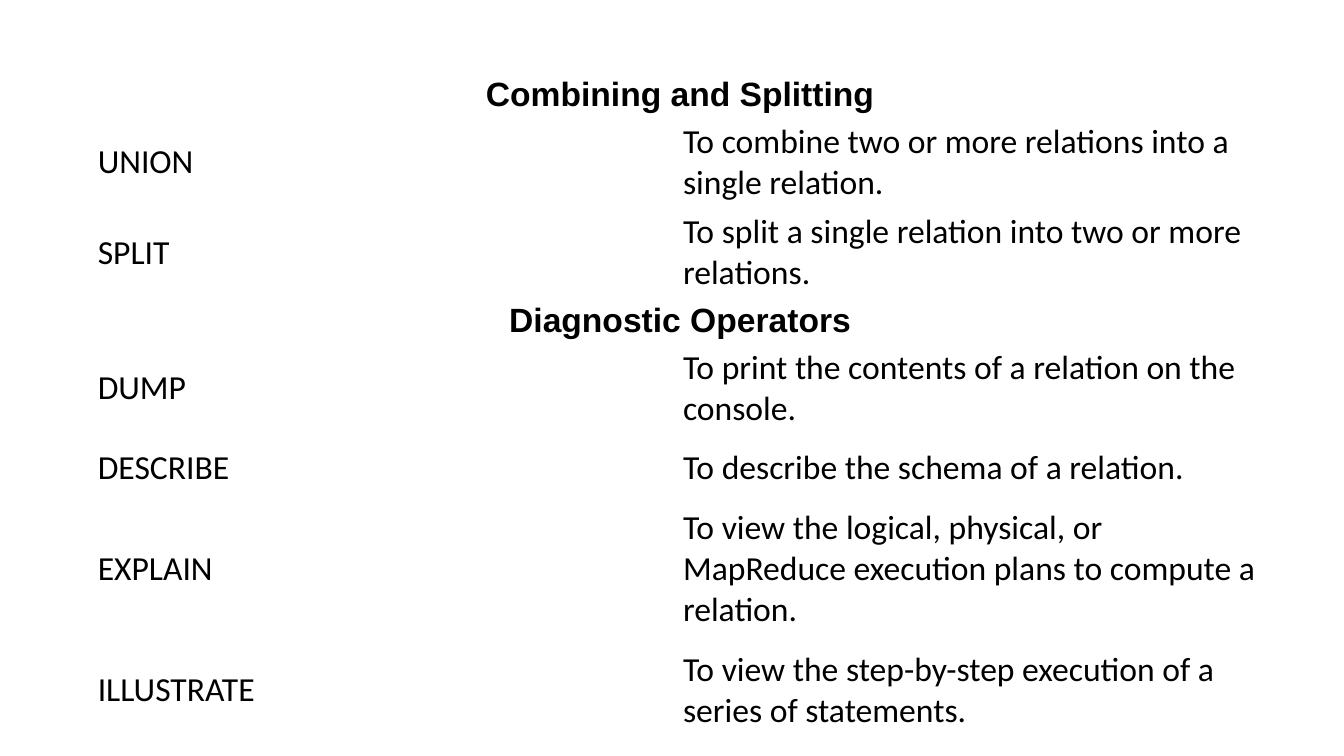
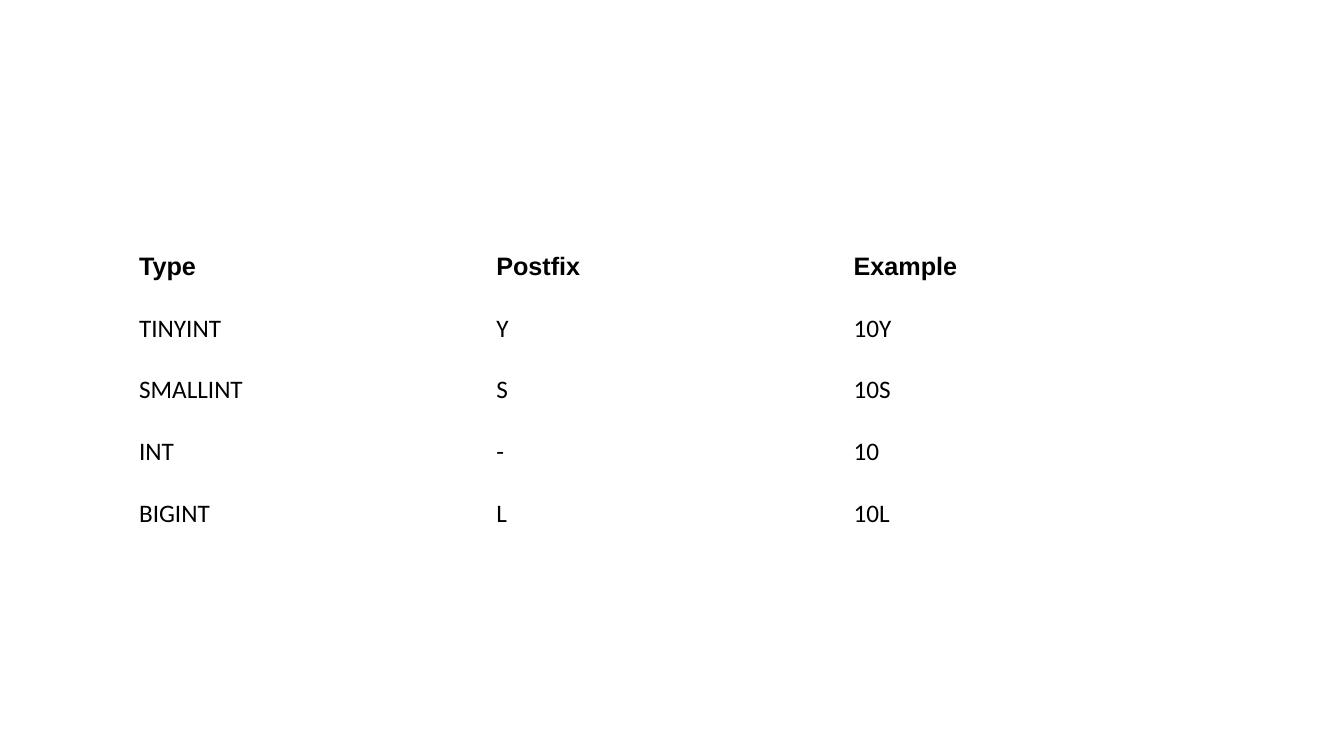
from dataclasses import dataclass

from pptx import Presentation
from pptx.dml.color import RGBColor
from pptx.enum.text import MSO_ANCHOR as Anchor, PP_ALIGN as Align
from pptx.util import Inches, Pt


@dataclass(frozen=True)
class Theme:
    ink: RGBColor = RGBColor(0x00, 0x00, 0x00)
    paper: RGBColor = RGBColor(0xFF, 0xFF, 0xFF)
    heading_font: str = "Arial"
    body_font: str = "Calibri"
    large: int = 24
    medium: int = 18


theme = Theme()

deck = Presentation()
deck.slide_width = Inches(13.33)
deck.slide_height = Inches(7.5)
blank_layout = deck.slide_layouts.get_by_name("Blank")


def across(percent):
    return round(deck.slide_width * percent / 100)


def down(percent):
    return round(deck.slide_height * percent / 100)


operators = dict(
    left=7.05, top=9.6, width=87.1, size=theme.large, inset=0.03,
    heights=[5.87, 12, 12, 5.87, 12, 9.2, 17.47, 14.67],
    rows=[
        ("Combining and Splitting",),
        ("UNION", "To combine two or more relations into a single relation."),
        ("SPLIT", "To split a single relation into two or more relations."),
        ("Diagnostic Operators",),
        ("DUMP", "To print the contents of a relation on the console."),
        ("DESCRIBE", "To describe the schema of a relation."),
        ("EXPLAIN", "To view the logical, physical, or MapReduce execution plans to compute a relation."),
        ("ILLUSTRATE", "To view the step-by-step execution of a series of statements."),
    ],
)
integer_types = dict(
    left=9.9, top=31.2, width=79.74, size=theme.medium, inset=0.06,
    heights=[8.16] * 5,
    rows=[
        ("Type", "Postfix", "Example"),
        ("TINYINT", "Y", "10Y"),
        ("SMALLINT", "S", "10S"),
        ("INT", "-", "10"),
        ("BIGINT", "L", "10L"),
    ],
)

for content in (operators, integer_types):
    page = deck.slides.add_slide(blank_layout)
    rows, heights = content["rows"], content["heights"]
    column_count = max(len(row) for row in rows)
    table = page.shapes.add_table(
        len(rows), column_count,
        across(content["left"]), down(content["top"]),
        across(content["width"]), down(sum(heights)),
    ).table
    table.first_row = False
    table.horz_banding = False

    for row_index, (texts, height) in enumerate(zip(rows, heights)):
        table.rows[row_index].height = down(height)
        spans_table = len(texts) == 1
        is_heading = spans_table or row_index == 0
        if spans_table:
            table.cell(row_index, 0).merge(table.cell(row_index, column_count - 1))

        for column_index, text in enumerate(texts):
            cell = table.cell(row_index, column_index)
            cell.fill.solid()
            cell.fill.fore_color.rgb = theme.paper
            cell.vertical_anchor = Anchor.MIDDLE
            cell.margin_left = cell.margin_right = Inches(content["inset"])
            cell.margin_top = cell.margin_bottom = Inches(content["inset"])
            para = cell.text_frame.paragraphs[0]
            para.alignment = Align.CENTER if spans_table else Align.LEFT
            span = para.add_run()
            span.text = text
            span.font.name = theme.heading_font if is_heading else theme.body_font
            span.font.size = Pt(content["size"])
            span.font.bold = is_heading
            span.font.color.rgb = theme.ink

deck.save("out.pptx")
